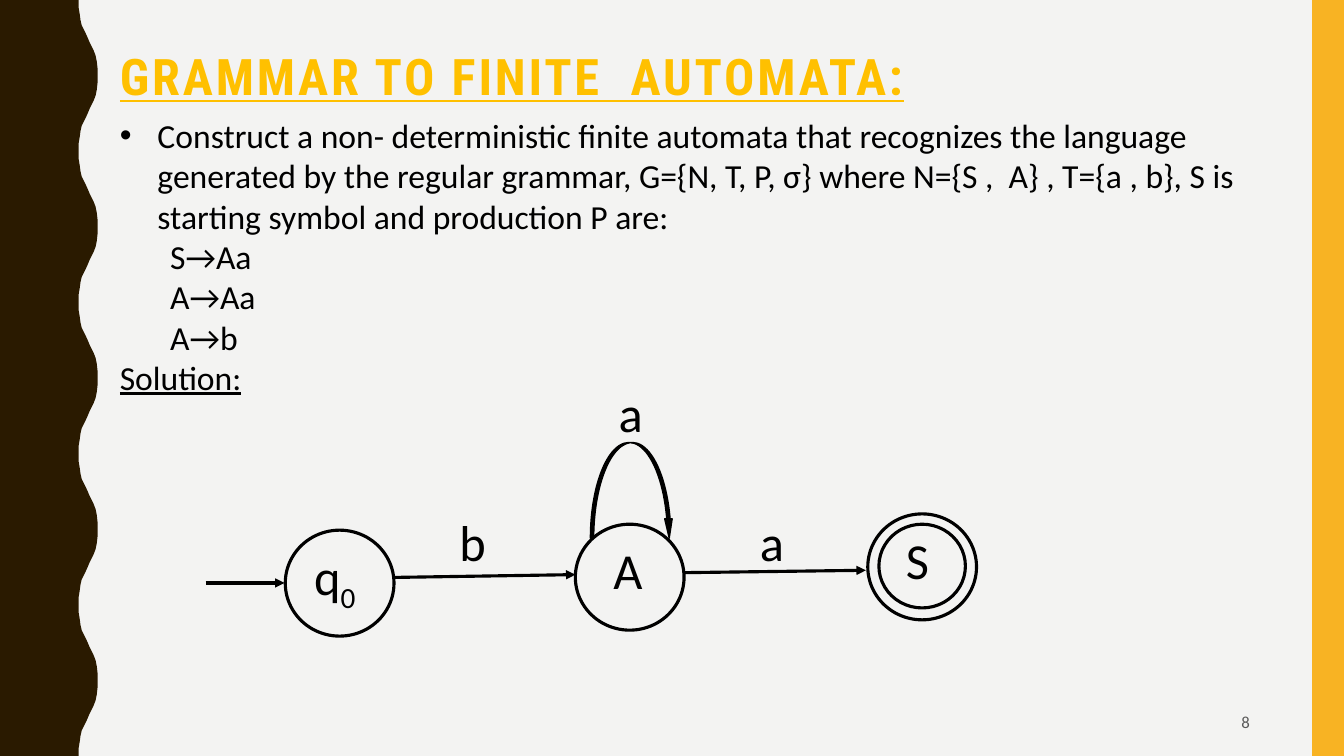
from pptx import Presentation
from pptx.dml.color import RGBColor
from pptx.enum.shapes import MSO_CONNECTOR as Link, MSO_SHAPE as Shape
from pptx.enum.text import MSO_ANCHOR as Anchor, PP_ALIGN as Align
from pptx.oxml.ns import qn
from pptx.util import Cm, Pt
from lxml.etree import SubElement

BLACK = "000000"


def color(value):
    return RGBColor.from_string(value)


def add_span(para, text, **values):
    """Add a run and set its font from the given values."""
    span = para.add_run()
    span.text = text
    span.font.color.rgb = color(values.pop("ink", BLACK))
    for name, value in ({"name": "Calibri"} | values).items():
        setattr(span.font, name, value)
    return span


deck = Presentation()
deck.slide_width, deck.slide_height = Cm(33.87), Cm(19.05)
page = deck.slides.add_slide(deck.slide_layouts[5])
shapes = page.shapes
page.background.fill.solid()
page.background.fill.fore_color.rgb = color("F3F3F2")

# Wavy left band: five waves, each a half wave and its mirror, in 0.01 cm
wave_height = 381
half_wave = [(198, 0), (198, 18), (201, 36), (203, 51), (206, 64), (211, 74),
             (216, 84), (221, 95), (226, 107), (231, 117), (236, 127),
             (241, 140), (244, 155), (246, 173), (246, 190)]
wave = half_wave + [(x, wave_height - y) for x, y in reversed(half_wave)]
edge = [(x, y + wave_height * turn) for turn in range(5) for x, y in wave]
outline = shapes.build_freeform(0, 0, scale=Cm(0.01))
outline.add_line_segments(edge + [(0, 5 * wave_height)], close=True)
left_band = outline.convert_to_shape()

# Yellow right band
right_band = shapes.add_shape(Shape.RECTANGLE, Cm(33.07), 0, Cm(0.8), Cm(19.05))
for band, fill in ((left_band, "2A1A00"), (right_band, "F8B323")):
    band.shadow.inherit = False
    band.fill.solid()
    band.fill.fore_color.rgb = color(fill)
    band.line.fill.background()

# Title
title = shapes.title
title.left, title.top, title.width, title.height = Cm(2.77), Cm(1.19), Cm(29.74), Cm(2.49)
title.text_frame.vertical_anchor = Anchor.TOP
title.text_frame.word_wrap = True
para = title.text_frame.paragraphs[0]
para.alignment, para.line_spacing = Align.LEFT, 0.9
span = add_span(para, "GRAMMAR TO FINITE  AUTOMATA:", name="Roboto Condensed",
                size=Pt(36), bold=True, underline=True, ink="FFC000")
span.font._element.set("spc", "200")

# Slide number
box = shapes.add_textbox(Cm(23.93), Cm(17.7), Cm(7.82), Cm(0.97))
box.text_frame.vertical_anchor = Anchor.MIDDLE
box.text_frame.word_wrap = True
para = box.text_frame.paragraphs[0]
para.alignment = Align.RIGHT
add_span(para, "8", size=Pt(12), ink="595959")

# Task, productions and solution heading: text, left margin, first-line indent
body = [
    ("Construct a non- deterministic finite automata that recognizes the language "
     "generated by the regular grammar, G={N, T, P, σ} where N={S ,  A} , "
     "T={a , b}, S is starting symbol and production P are:", 0.95, -0.95),
    ("S→Aa", 1.27, 0),
    ("A→Aa", 1.27, 0),
    ("A→b", 1.27, 0),
    ("Solution:", 0, 0),
]
box = shapes.add_textbox(Cm(2.77), Cm(2.77), Cm(30.02), Cm(8.46))
frame = box.text_frame
frame.word_wrap = True
for number, (text, margin, indent) in enumerate(body):
    para = frame.add_paragraph() if number else frame.paragraphs[0]
    layout = para._p.get_or_add_pPr()
    layout.set("marL", str(Cm(margin)))
    layout.set("indent", str(Cm(indent)))
    if indent:
        SubElement(layout, qn("a:buFont"), typeface="Arial")
        SubElement(layout, qn("a:buChar"), char="•")
    add_span(para, text, size=Pt(24), underline=text == "Solution:")

# States q0, A and S, with the inner ring of the final state
states = [(7.19, 13.36, 2.74, 2.67), (14.5, 13.21, 2.74, 2.67),
          (21.87, 12.95, 2.74, 2.67), (22.15, 13.21, 2.18, 2.11)]
for state in states:
    ring = shapes.add_shape(Shape.OVAL, *map(Cm, state))
    ring.shadow.inherit = False
    ring.fill.background()
    ring.line.color.rgb = color(BLACK)
    ring.line.width = Pt(2.25)

# Loop on state A
loop = shapes.add_shape(Shape.CURVED_DOWN_ARROW, Cm(14.88), Cm(11.15), Cm(2.08), Cm(2.41))
for index, value in enumerate((0.04, 0.09, 0.233)):
    loop.adjustments[index] = value
loop.shadow.inherit = False
loop.fill.solid()
loop.fill.fore_color.rgb = color(BLACK)
loop.line.color.rgb = color(BLACK)
loop.line.width = Pt(1)

# Transitions: start, q0 to A, A to S
transitions = [(5.18, 14.69, 7.17, 14.69), (9.95, 14.55, 14.5, 14.48),
               (17.25, 14.43, 21.82, 14.37)]
for ends in transitions:
    arrow = shapes.add_connector(Link.STRAIGHT, *map(Cm, ends))
    arrow.line.color.rgb = color(BLACK)
    arrow.line.width = Pt(2.25)
    SubElement(arrow.line._get_or_add_ln(), qn("a:tailEnd"), type="triangle")
    SubElement(arrow._element.spPr, qn("a:effectLst"))

# State and transition labels: text, subscript, left, top, width
labels = [("q", "0", 7.67, 13.61, 1.75), ("A", "", 15.21, 13.46, 1.27),
          ("S", "", 22.58, 13.21, 1.27), ("b", "", 11.33, 12.75, 1.27),
          ("a", "", 15.34, 9.5, 1.27), ("a", "", 18.9, 12.75, 1.27)]
for text, subscript, left, top, width in labels:
    box = shapes.add_textbox(Cm(left), Cm(top), Cm(width), Cm(1.8))
    box.text_frame.word_wrap = True
    para = box.text_frame.paragraphs[0]
    add_span(para, text, size=Pt(36))
    if subscript:
        span = add_span(para, subscript, size=Pt(36))
        span.font._element.set("baseline", "-25000")

deck.save("out.pptx")
